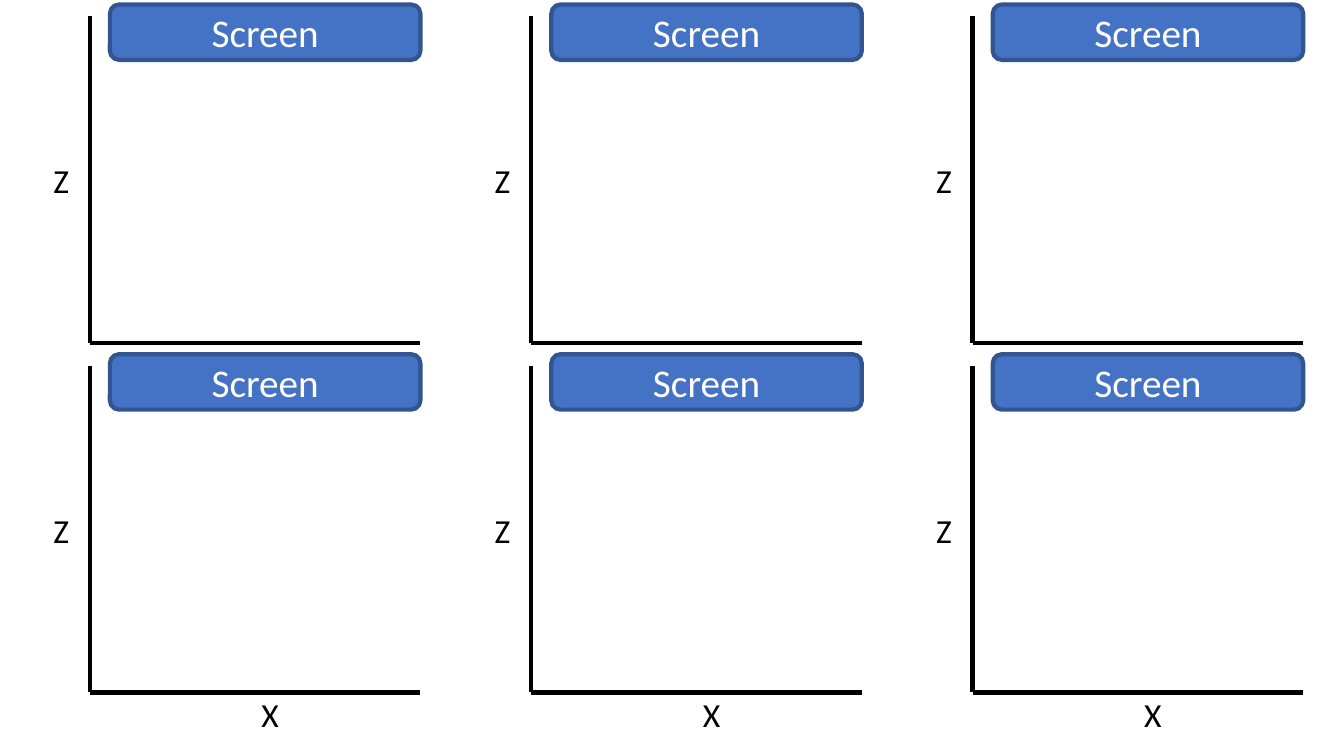
"""Build a slide with a two-by-three grid of empty X-Z plots, each topped by a screen."""
from dataclasses import dataclass

from lxml import etree
from pptx import Presentation
from pptx.dml.color import RGBColor
from pptx.enum.shapes import MSO_CONNECTOR, MSO_SHAPE
from pptx.enum.text import MSO_ANCHOR, MSO_AUTO_SIZE, PP_ALIGN
from pptx.oxml.ns import qn
from pptx.shapes.shapetree import GroupShapes
from pptx.text.text import TextFrame
from pptx.util import Pt

STRAIGHT = MSO_CONNECTOR.STRAIGHT
ROUNDED = MSO_SHAPE.ROUNDED_RECTANGLE
CENTER = PP_ALIGN.CENTER
MIDDLE = MSO_ANCHOR.MIDDLE
GROW = MSO_AUTO_SIZE.SHAPE_TO_FIT_TEXT
BLANK_LAYOUT = 6


@dataclass(frozen=True)
class Theme:
    font: str = "Calibri"
    ink: RGBColor = RGBColor(0x00, 0x00, 0x00)
    screen_fill: RGBColor = RGBColor(0x44, 0x72, 0xC4)
    screen_line: RGBColor = RGBColor(0x32, 0x54, 0x91)
    screen_text: RGBColor = RGBColor(0xFF, 0xFF, 0xFF)
    axis_size: float = 24
    screen_size: float = 28
    line_width: float = 3


@dataclass(frozen=True)
class Box:
    left: float
    top: float
    width: float
    height: float


@dataclass(frozen=True)
class Plot:
    origin_x: float
    origin_y: float
    has_x_label: bool


THEME = Theme()
SLIDE_WIDTH, SLIDE_HEIGHT = 960, 540
FIRST_X, FIRST_Y = 64.1, 244.8
COLUMN_PITCH, ROW_PITCH = 315.3, 249.8
COLUMNS = 3
X_LENGTH, Z_LENGTH = 236.2, 233.3
Z_LABEL = Box(-34.8, -133.9, 28.8, 48.2)
X_LABEL = Box(80.6, -2.2, 96.5, 48.2)
SCREEN = Box(14.4, -241.6, 221.8, 39.6)

PLOTS = [
    Plot(FIRST_X + column * COLUMN_PITCH, FIRST_Y + row * ROW_PITCH, row == 1)
    for row in (1, 0)
    for column in range(COLUMNS)
]


def place(plot: Plot, box: Box) -> tuple[Pt, Pt, Pt, Pt]:
    """Turn a box relative to the plot's origin into slide lengths."""
    return (Pt(plot.origin_x + box.left), Pt(plot.origin_y + box.top),
            Pt(box.width), Pt(box.height))


def write(frame: TextFrame, text: str, size: float, color: RGBColor) -> None:
    """Set one centred line of text."""
    frame.word_wrap = True
    paragraph = frame.paragraphs[0]
    paragraph.text = text
    paragraph.alignment = CENTER
    font = paragraph.runs[0].font
    font.name = THEME.font
    font.size = Pt(size)
    font.color.rgb = color


def draw_axis(shapes: GroupShapes, plot: Plot, dx: float, dy: float) -> None:
    """Draw an axis from the plot's origin."""
    x, y = plot.origin_x, plot.origin_y
    axis = shapes.add_connector(STRAIGHT, Pt(x), Pt(y), Pt(x + dx), Pt(y + dy))
    axis.line.color.rgb = THEME.ink
    axis.line.width = Pt(THEME.line_width)
    etree.SubElement(axis._element.spPr, qn("a:effectLst"))


def draw_label(shapes: GroupShapes, plot: Plot, box: Box, text: str) -> None:
    """Write the name of an axis."""
    label = shapes.add_textbox(*place(plot, box))
    write(label.text_frame, text, THEME.axis_size, THEME.ink)
    label.text_frame.auto_size = GROW


def draw_screen(shapes: GroupShapes, plot: Plot) -> None:
    """Draw the screen at the top of a plot."""
    screen = shapes.add_shape(ROUNDED, *place(plot, SCREEN))
    screen.shadow.inherit = False
    screen.fill.solid()
    screen.fill.fore_color.rgb = THEME.screen_fill
    screen.line.color.rgb = THEME.screen_line
    screen.line.width = Pt(THEME.line_width)
    screen.text_frame.vertical_anchor = MIDDLE
    write(screen.text_frame, "Screen", THEME.screen_size, THEME.screen_text)


def draw_plot(shapes: GroupShapes, plot: Plot) -> None:
    """Draw the axes, labels and screen of one plot."""
    draw_axis(shapes, plot, X_LENGTH, 0)
    draw_axis(shapes, plot, 0, -Z_LENGTH)
    draw_label(shapes, plot, Z_LABEL, "Z")
    if plot.has_x_label:
        draw_label(shapes, plot, X_LABEL, "X")
    draw_screen(shapes, plot)


def main() -> None:
    """Build and save the slide."""
    presentation = Presentation()
    presentation.slide_width = Pt(SLIDE_WIDTH)
    presentation.slide_height = Pt(SLIDE_HEIGHT)
    slide = presentation.slides.add_slide(presentation.slide_layouts[BLANK_LAYOUT])
    for plot in PLOTS:
        draw_plot(slide.shapes.add_group_shape().shapes, plot)
    presentation.save("out.pptx")


if __name__ == "__main__":
    main()
